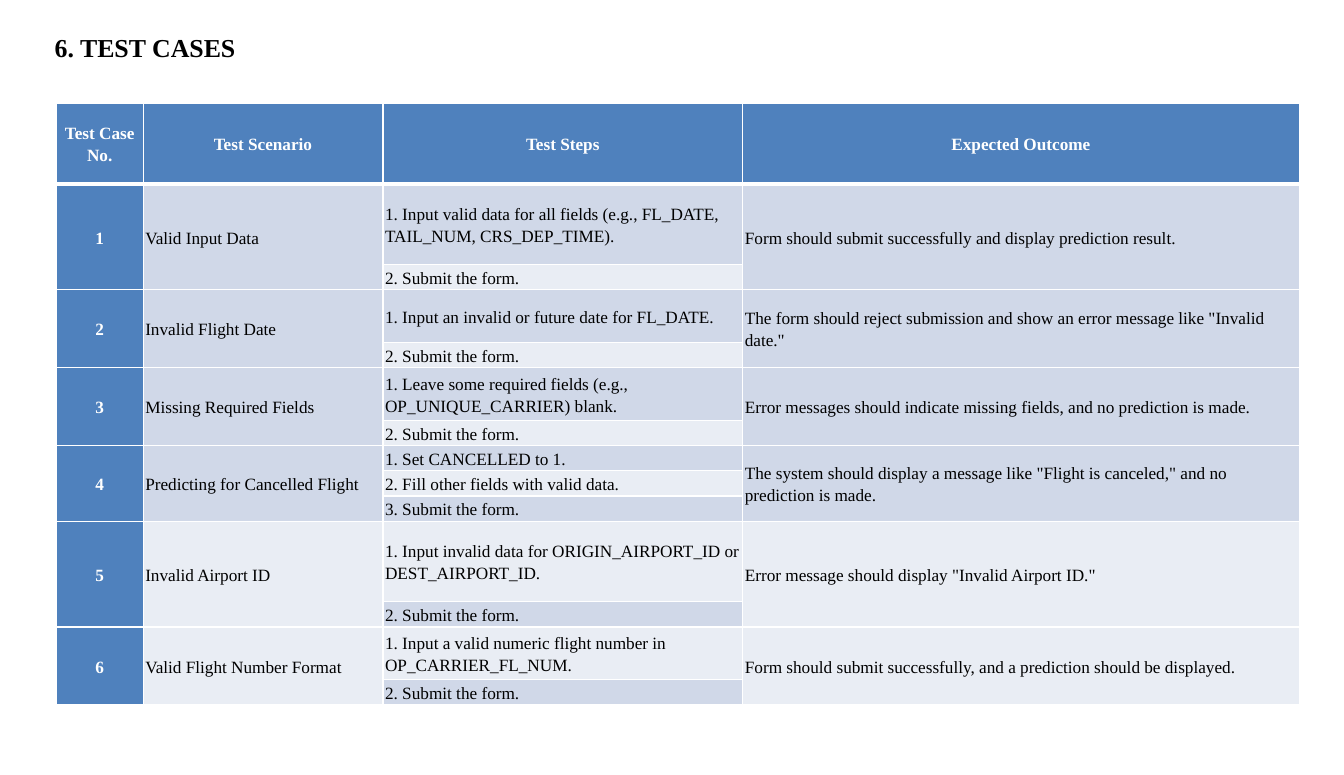
from lxml import etree
from pptx import Presentation
from pptx import util as u
from pptx.dml.color import RGBColor
from pptx.enum import text
from pptx.oxml import ns

FONT = "Times New Roman"
BLACK = RGBColor(0x00, 0x00, 0x00)
WHITE = RGBColor(0xFF, 0xFF, 0xFF)
HEADER_BLUE = RGBColor(0x4F, 0x81, 0xBD)
BAND_DARK = RGBColor(0xD0, 0xD8, 0xE8)
BAND_LIGHT = RGBColor(0xE9, 0xED, 0xF4)

COLUMN_WIDTHS = [60.5, 167, 250.6, 387.6]
SHORT, MEDIUM, TALL = 17.6, 36.7, 56.2
HEADERS = ["Test Case No.", "Test Scenario", "Test Steps", "Expected Outcome"]
SUBMIT = "Submit the form."
TEST_CASES = [
    ("Valid Input Data", TALL,
     ["Input valid data for all fields (e.g., FL_DATE, TAIL_NUM, CRS_DEP_TIME).", SUBMIT],
     "Form should submit successfully and display prediction result."),
    ("Invalid Flight Date", MEDIUM,
     ["Input an invalid or future date for FL_DATE.", SUBMIT],
     'The form should reject submission and show an error message like "Invalid date."'),
    ("Missing Required Fields", MEDIUM,
     ["Leave some required fields (e.g., OP_UNIQUE_CARRIER) blank.", SUBMIT],
     "Error messages should indicate missing fields, and no prediction is made."),
    ("Predicting for Cancelled Flight", SHORT,
     ["Set CANCELLED to 1.", "Fill other fields with valid data.", SUBMIT],
     'The system should display a message like "Flight is canceled," and no prediction is made.'),
    ("Invalid Airport ID", TALL,
     ["Input invalid data for ORIGIN_AIRPORT_ID or DEST_AIRPORT_ID.", SUBMIT],
     'Error message should display "Invalid Airport ID."'),
    ("Valid Flight Number Format", MEDIUM,
     ["Input a valid numeric flight number in OP_CARRIER_FL_NUM.", SUBMIT],
     "Form should submit successfully, and a prediction should be displayed."),
]


def format_runs(paragraph, size, color, bold):
    for run in paragraph.runs:
        run.font.name = FONT
        run.font.size = u.Pt(size)
        run.font.color.rgb = color
        run.font.bold = bold


def set_borders(cell, top=1, bottom=1):
    properties = cell._tc.get_or_add_tcPr()
    for side, width in (("L", 1), ("R", 1), ("T", top), ("B", bottom)):
        line = etree.SubElement(properties, ns.qn(f"a:ln{side}"), w=str(u.Pt(width)))
        fill = etree.SubElement(line, ns.qn("a:solidFill"))
        etree.SubElement(fill, ns.qn("a:srgbClr"), val=str(WHITE))


def paint_cell(cell, row, column):
    set_borders(cell, top=3 if row == 1 else 1, bottom=3 if row == 0 else 1)
    cell.fill.solid()
    if row == 0 or column == 0:
        cell.fill.fore_color.rgb = HEADER_BLUE
    else:
        cell.fill.fore_color.rgb = BAND_DARK if row % 2 else BAND_LIGHT
    cell.margin_left = cell.margin_right = u.Pt(1.5)
    cell.margin_top = cell.margin_bottom = 0
    cell.vertical_anchor = text.MSO_ANCHOR.MIDDLE


def write_cell(cell, words, heading=False):
    cell.text_frame.text = words
    paragraph = cell.text_frame.paragraphs[0]
    paragraph.line_spacing = 1.15
    paragraph.space_after = u.Pt(10)
    paragraph.alignment = text.PP_ALIGN.CENTER if heading else text.PP_ALIGN.LEFT
    format_runs(paragraph, 12, WHITE if heading else BLACK, heading)


def add_title(slide):
    box = slide.shapes.add_textbox(u.Pt(31), u.Pt(18.7), u.Pt(275), u.Pt(29))
    frame = box.text_frame
    frame.word_wrap = True
    frame.auto_size = text.MSO_AUTO_SIZE.SHAPE_TO_FIT_TEXT
    frame.text = "6. TEST CASES"
    format_runs(frame.paragraphs[0], 18, BLACK, True)


def write_test_case(table, first_row, number, test_case):
    scenario, _, steps, outcome = test_case
    last_row = first_row + len(steps) - 1
    for column, words in ((0, str(number)), (1, scenario), (3, outcome)):
        cell = table.cell(first_row, column)
        cell.merge(table.cell(last_row, column))
        write_cell(cell, words, heading=column == 0)
    for index, step in enumerate(steps):
        write_cell(table.cell(first_row + index, 2), f"{index + 1}. {step}")


def add_test_table(slide):
    heights = [TALL]
    for _, first_height, steps, _ in TEST_CASES:
        heights += [first_height] + [SHORT] * (len(steps) - 1)
    table = slide.shapes.add_table(
        len(heights), len(COLUMN_WIDTHS), u.Pt(39.2), u.Pt(72),
        u.Pt(sum(COLUMN_WIDTHS)), u.Pt(sum(heights))).table
    for column, width in zip(table.columns, COLUMN_WIDTHS):
        column.width = u.Pt(width)
    for row, height in enumerate(heights):
        table.rows[row].height = u.Pt(height)
        for column in range(len(COLUMN_WIDTHS)):
            paint_cell(table.cell(row, column), row, column)

    for column, words in enumerate(HEADERS):
        write_cell(table.cell(0, column), words, heading=True)
    first_row = 1
    for number, test_case in enumerate(TEST_CASES, start=1):
        write_test_case(table, first_row, number, test_case)
        first_row += len(test_case[2])


def main():
    presentation = Presentation()
    presentation.slide_width = u.Pt(936)
    presentation.slide_height = u.Pt(540)
    slide = presentation.slides.add_slide(presentation.slide_layouts[6])
    add_title(slide)
    add_test_table(slide)
    presentation.save("out.pptx")


if __name__ == "__main__":
    main()
